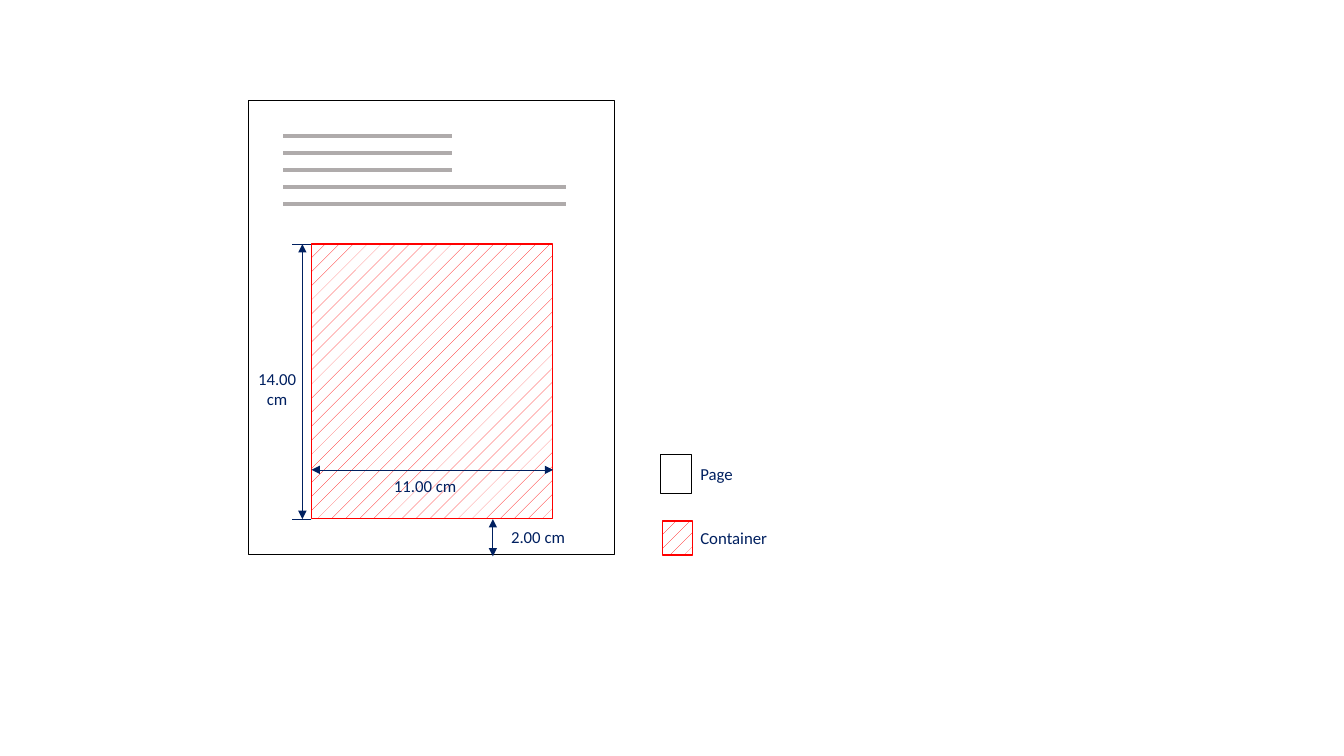
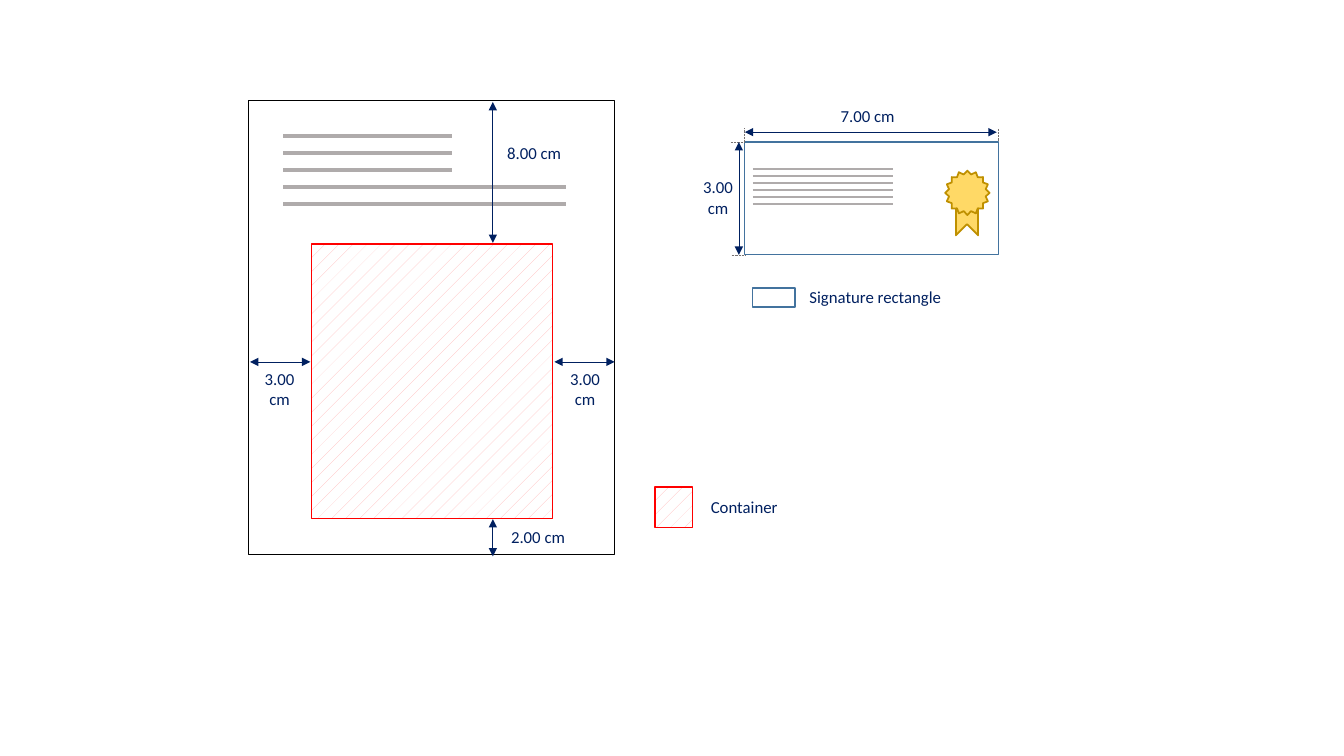
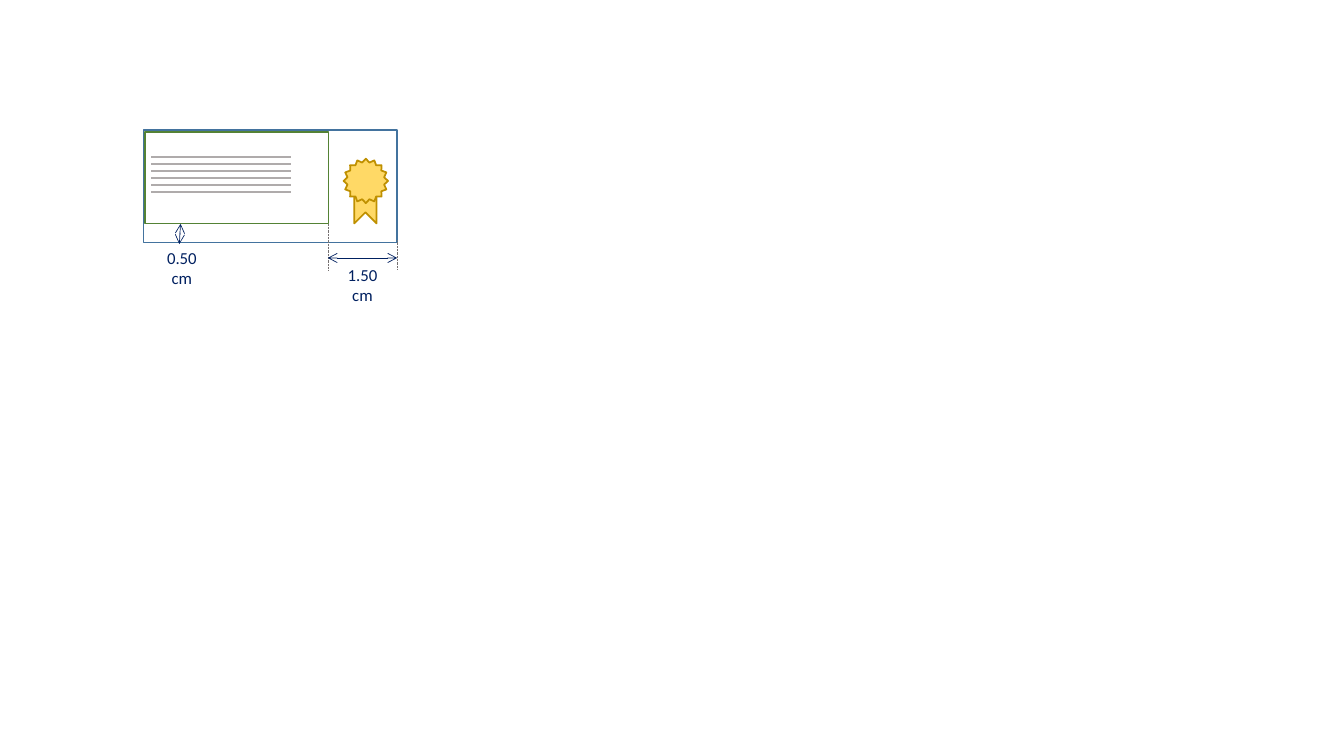
from lxml import etree
from pptx import Presentation
from pptx.dml.color import RGBColor
from pptx.enum.dml import MSO_LINE, MSO_PATTERN
from pptx.enum.shapes import MSO_CONNECTOR, MSO_SHAPE
from pptx.enum.text import MSO_AUTO_SIZE, PP_ALIGN
from pptx.oxml.ns import qn
from pptx.util import Cm, Pt

RECT, STAR, CHEVRON = MSO_SHAPE.RECTANGLE, MSO_SHAPE.STAR_16_POINT, MSO_SHAPE.CHEVRON
STRAIGHT = MSO_CONNECTOR.STRAIGHT
DOTTED = MSO_LINE.ROUND_DOT
HATCH = MSO_PATTERN.PERCENT_5
GROW = MSO_AUTO_SIZE.SHAPE_TO_FIT_TEXT
LEFT, CENTER = PP_ALIGN.LEFT, PP_ALIGN.CENTER

BLACK = RGBColor(0x00, 0x00, 0x00)
WHITE = RGBColor(0xFF, 0xFF, 0xFF)
NAVY = RGBColor(0x00, 0x20, 0x60)
GREY = RGBColor(0xAF, 0xAB, 0xAB)
DARK_GREY = RGBColor(0x76, 0x71, 0x71)
RED = RGBColor(0xFF, 0x00, 0x00)
PALE_RED = RGBColor(0xFF, 0xB7, 0xB7)
BLUE = RGBColor(0x43, 0x73, 0x9E)
GREEN = RGBColor(0x54, 0x82, 0x35)
GOLD = RGBColor(0xFF, 0xD9, 0x66)
DARK_GOLD = RGBColor(0xBF, 0x90, 0x00)

FONT, TEXT_SIZE = "Calibri", 12
LINE_HEIGHT, INSETS = 0.51, 0.25

# All places and sizes are centimetres: left, top, width, height.
PAGE = (6.27, 2.54, 9.22, 11.43)
CONTAINER = (7.85, 6.15, 6.07, 6.91)
PAGE_LINE_ENDS = (11.4, 11.4, 11.4, 14.27, 14.27)
PAGE_LINE_LEFT, PAGE_LINE_TOP, PAGE_LINE_STEP = 7.14, 3.42, 0.43

SIGNATURE_SIZE = (6.4, 2.84)
SIGNATURE_LINES, SIGNATURE_LINE_LENGTH, SIGNATURE_LINE_STEP = 6, 3.53, 0.18
TEXT_AREA = (3.66, 3.33, 4.62, 2.31)

# Labels: lines of text, left, top, width, alignment.
# Arrows and guides: start x, start y, end x, end y.
BOTTOM_GAP_ARROW = (12.42, 13.08, 12.42, 14.02)
BOTTOM_GAP_LABEL = (("2.00 cm",), 12.47, 13.16, 2.18, CENTER)

SIZE_DRAWING = {
    "arrows": [BOTTOM_GAP_ARROW, (7.85, 11.84, 13.94, 11.84), (7.62, 6.15, 7.62, 13.08)],
    "ticks": [(7.85, 6.15, 7.37, 6.15), (7.85, 13.08, 7.37, 13.08)],
    "labels": [
        BOTTOM_GAP_LABEL,
        (("Page",), 17.4, 11.56, 2.18, LEFT),
        (("Container",), 17.4, 13.18, 3.73, LEFT),
        (("11.00 cm",), 9.65, 11.86, 2.13, CENTER),
        (("14.00", "cm"), 5.92, 9.17, 2.13, CENTER),
    ],
}
MARGIN_DRAWING = {
    "guides": [
        (18.77, 3.23, 18.77, 3.56), (25.17, 3.25, 25.17, 3.56),
        (18.42, 3.58, 18.75, 3.58), (18.44, 6.43, 18.77, 6.43),
    ],
    "arrows": [
        (18.62, 3.58, 18.62, 6.42), (18.77, 3.33, 25.12, 3.33),
        (6.3, 9.12, 7.82, 9.12), (13.97, 9.12, 15.49, 9.12),
        BOTTOM_GAP_ARROW, (12.42, 2.57, 12.42, 6.12),
    ],
    "labels": [
        (("7.00 cm",), 20.62, 2.54, 2.49, CENTER),
        (("3.00", "cm"), 17.32, 4.34, 1.55, CENTER),
        (("3.00", "cm"), 6.27, 9.17, 1.55, CENTER),
        (("3.00", "cm"), 13.97, 9.17, 1.55, CENTER),
        BOTTOM_GAP_LABEL,
        (("8.00 cm",), 12.37, 3.48, 2.18, CENTER),
        (("Container",), 17.55, 12.4, 2.41, CENTER),
        (("Signature rectangle",), 20.04, 7.11, 4.04, CENTER),
    ],
}
SIGNATURE_DRAWING = {
    "guides": [(8.28, 5.64, 8.28, 6.81), (10.01, 6.05, 10.01, 6.78)],
    "open_arrows": [(8.26, 6.5, 10.01, 6.5), (4.55, 5.64, 4.52, 6.15)],
    "labels": [
        (("1.50", "cm"), 8.36, 6.55, 1.55, CENTER),
        (("0.50", "cm"), 3.81, 6.12, 1.55, CENTER),
    ],
}


def add_outline(slide, box, color, width=1, kind=RECT):
    """Add an unfilled, outlined shape and return it."""
    outline = slide.shapes.add_shape(kind, *map(Cm, box))
    outline.shadow.inherit = False
    outline.fill.background()
    outline.line.color.rgb = color
    outline.line.width = Pt(width)
    return outline


def add_container(slide, box, hatch_color):
    """Add a hatched rectangle with a red outline."""
    fill = add_outline(slide, box, RED).fill
    fill.patterned()
    fill.pattern = HATCH
    fill.fore_color.rgb = hatch_color
    fill.back_color.rgb = WHITE


def add_line(slide, ends, color, width=0.5, dash=None, arrowhead=None):
    """Add a straight line, dashed or with arrowheads at both ends on request."""
    connector = slide.shapes.add_connector(STRAIGHT, *map(Cm, ends))
    connector.line.color.rgb = color
    connector.line.width = Pt(width)
    if dash:
        connector.line.dash_style = dash
    if arrowhead:
        for end in ("a:headEnd", "a:tailEnd"):
            etree.SubElement(connector.get_or_add_ln(), qn(end), type=arrowhead)
    etree.SubElement(connector.element.spPr, qn("a:effectLst"))


def add_label(slide, lines, left, top, width, alignment):
    """Add a navy label with one paragraph per line."""
    height = len(lines) * LINE_HEIGHT + INSETS
    frame = slide.shapes.add_textbox(Cm(left), Cm(top), Cm(width), Cm(height)).text_frame
    frame.word_wrap = True
    frame.auto_size = GROW
    for index, line in enumerate(lines):
        paragraph = frame.add_paragraph() if index else frame.paragraphs[0]
        paragraph.alignment = alignment
        run = paragraph.add_run()
        run.text = line
        run.font.name = FONT
        run.font.size = Pt(TEXT_SIZE)
        run.font.color.rgb = NAVY


def add_page(slide, hatch_color):
    """Add the page with its lines of writing and its container."""
    add_outline(slide, PAGE, BLACK, 0.75)
    for row, end in enumerate(PAGE_LINE_ENDS):
        y = PAGE_LINE_TOP + row * PAGE_LINE_STEP
        add_line(slide, (PAGE_LINE_LEFT, y, end, y), GREY, 2.75)
    add_container(slide, CONTAINER, hatch_color)


def add_signature(slide, left, top):
    """Add the signature rectangle with its ribbon badge and writing."""
    add_outline(slide, (left, top, *SIGNATURE_SIZE), BLUE)
    ribbon = add_outline(slide, (left + 4.9, top + 1.37, 1.4, 0.56), DARK_GOLD, 1.25, CHEVRON)
    ribbon.rotation = 270
    rosette = add_outline(slide, (left + 5.05, top + 0.72, 1.12, 1.12), DARK_GOLD, 1.25, STAR)
    rosette.adjustments[0] = 0.42
    for part in (ribbon, rosette):
        part.fill.solid()
        part.fill.fore_color.rgb = GOLD
    start = left + 0.2
    for row in range(SIGNATURE_LINES):
        y = top + 0.67 + row * SIGNATURE_LINE_STEP
        add_line(slide, (start, y, start + SIGNATURE_LINE_LENGTH, y), GREY, 1.5)


def add_dimensions(slide, drawing):
    """Add the guides, ticks, arrows and labels of a drawing."""
    for ends in drawing.get("guides", ()):
        add_line(slide, ends, DARK_GREY, dash=DOTTED)
    for ends in drawing.get("ticks", ()):
        add_line(slide, ends, NAVY)
    for ends in drawing.get("arrows", ()):
        add_line(slide, ends, NAVY, arrowhead="triangle")
    for ends in drawing.get("open_arrows", ()):
        add_line(slide, ends, NAVY, arrowhead="arrow")
    for label in drawing["labels"]:
        add_label(slide, *label)


deck = Presentation()
deck.slide_width, deck.slide_height = Cm(33.87), Cm(19.05)
blank = deck.slide_layouts[6]

size_slide = deck.slides.add_slide(blank)
add_page(size_slide, RED)
add_outline(size_slide, (16.64, 11.46, 0.79, 0.97), BLACK, 0.75)
add_container(size_slide, (16.69, 13.13, 0.76, 0.86), RED)
add_dimensions(size_slide, SIZE_DRAWING)

margin_slide = deck.slides.add_slide(blank)
add_signature(margin_slide, 18.77, 3.58)
add_page(margin_slide, PALE_RED)
add_container(margin_slide, (16.51, 12.27, 0.94, 1.02), PALE_RED)
add_outline(margin_slide, (18.97, 7.26, 1.07, 0.48), BLUE)
add_dimensions(margin_slide, MARGIN_DRAWING)

signature_slide = deck.slides.add_slide(blank)
add_signature(signature_slide, 3.61, 3.28)
add_outline(signature_slide, TEXT_AREA, GREEN)
add_dimensions(signature_slide, SIGNATURE_DRAWING)

deck.save("out.pptx")
